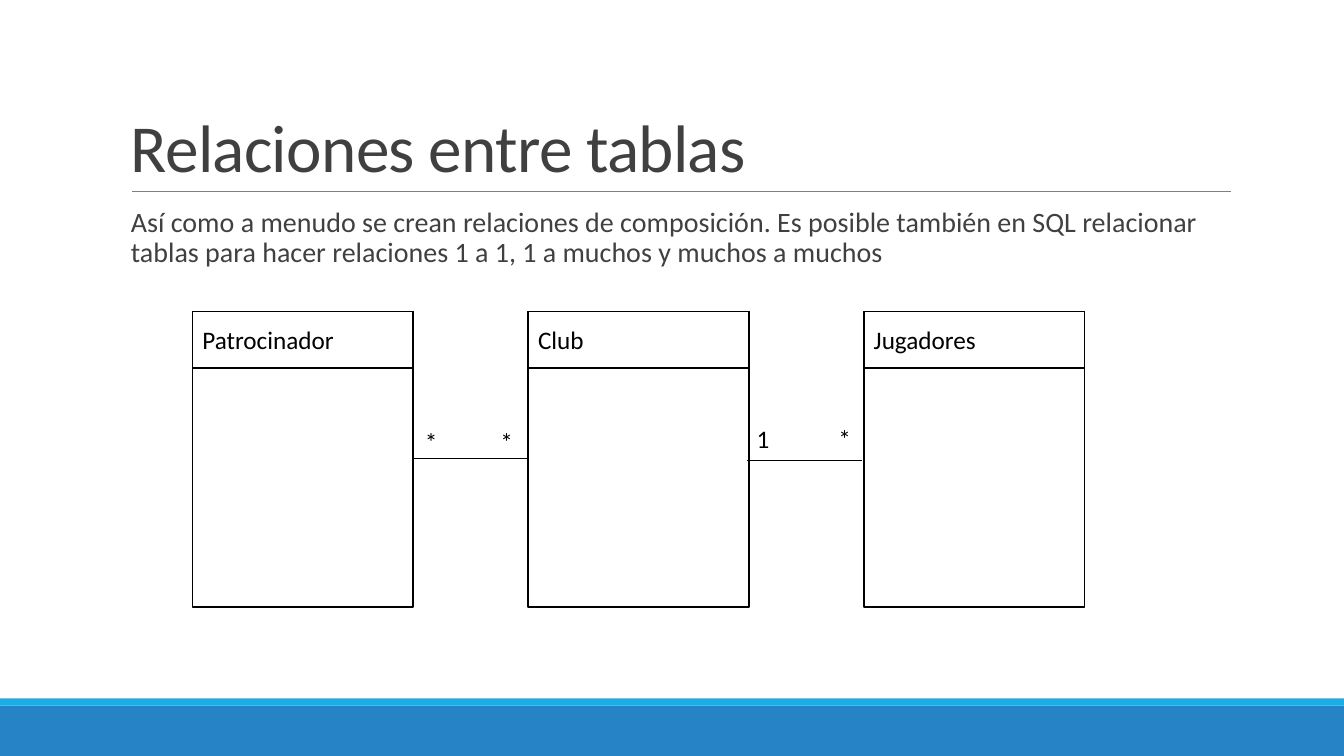
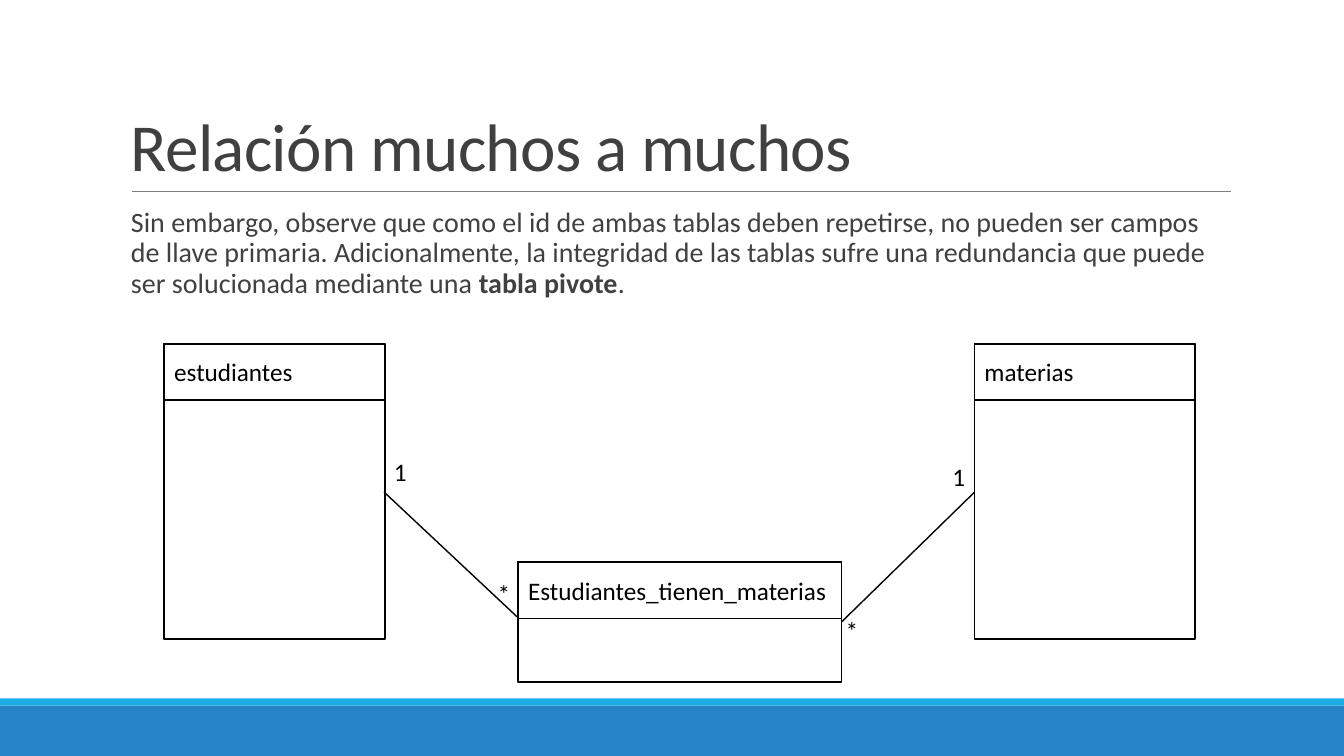
from lxml import etree
from pptx import Presentation
from pptx.dml.color import RGBColor
from pptx.enum.shapes import MSO_CONNECTOR, MSO_SHAPE
from pptx.enum.text import MSO_ANCHOR as ANCHOR, PP_ALIGN
from pptx.oxml.ns import qn
from pptx.util import Cm, Pt

COLORS = {
    "band": "2683C6",
    "accent": "1CADE4",
    "rule": "808080",
    "text": "404040",
    "black": "000000",
    "white": "FFFFFF",
}
COLORS = {name: RGBColor.from_string(value) for name, value in COLORS.items()}
FONT = "Calibri"
SLIDE_WIDTH = 33.87
BOX_WIDTH, BOX_HEIGHT, HEADER_HEIGHT = 5.56, 7.44, 1.42
CLUB_TOP, CLUB_LEFT, CLUB_STEP = 7.85, 4.85, 8.46
COURSE_TOP = 8.66
PIVOT_LEFT, PIVOT_TOP, PIVOT_WIDTH, PIVOT_HEIGHT = 13.06, 14.17, 8.15, 3.02

SLIDES = [
    {
        "title": "Relaciones entre tablas",
        "title_top": 0.79,
        "body": [
            ("Así como a menudo se crean relaciones de composición. Es posible "
             "también en SQL relacionar tablas para hacer relaciones 1 a 1, "
             "1 a muchos y muchos a muchos", False),
        ],
        "tables": [
            (name, CLUB_LEFT + column * CLUB_STEP, CLUB_TOP, BOX_WIDTH, BOX_HEIGHT)
            for column, name in enumerate(["Patrocinador", "Club", "Jugadores"])
        ],
        "links": [(10.4, 11.56, 13.31, 11.56), (18.82, 11.61, 21.72, 11.61)],
        "labels": [("*", 10.46, 10.62), ("*", 12.36, 10.62),
                   ("1", 18.82, 10.54), ("*", 20.88, 10.54)],
    },
    {
        "title": "Relación muchos a muchos",
        "title_top": 0.74,
        "body": [
            ("Sin embargo, observe que como el id de ambas tablas deben "
             "repetirse, no pueden ser campos de llave primaria. "
             "Adicionalmente, la integridad de las tablas sufre una redundancia "
             "que puede ser solucionada mediante una ", False),
            ("tabla pivote", True),
            (".", False),
        ],
        "tables": [
            ("estudiantes", 4.14, COURSE_TOP, BOX_WIDTH, BOX_HEIGHT),
            ("materias", 24.56, COURSE_TOP, BOX_WIDTH, BOX_HEIGHT),
            ("Estudiantes_tienen_materias",
             PIVOT_LEFT, PIVOT_TOP, PIVOT_WIDTH, PIVOT_HEIGHT),
        ],
        "links": [(9.68, 12.4, 13.06, 15.57), (21.21, 15.67, 24.56, 12.4)],
        "labels": [("1", 9.68, 11.38), ("*", 12.29, 14.45),
                   ("1", 23.75, 11.51), ("*", 21.06, 15.37)],
    },
]


def add_rectangle(slide, left, top, width, height, fill, line=None):
    shape = slide.shapes.add_shape(
        MSO_SHAPE.RECTANGLE, Cm(left), Cm(top), Cm(width), Cm(height))
    shape.shadow.inherit = False
    shape.fill.solid()
    shape.fill.fore_color.rgb = COLORS[fill]
    if line:
        shape.line.color.rgb = COLORS[line]
        shape.line.width = Pt(1.25)
    else:
        shape.line.fill.background()
    return shape


def write_text(shape, runs, size, color, anchor=ANCHOR.TOP):
    frame = shape.text_frame
    frame.word_wrap = True
    frame.vertical_anchor = anchor
    paragraph = frame.paragraphs[0]
    paragraph.alignment = PP_ALIGN.LEFT
    paragraph.font.name = FONT
    paragraph.font.size = Pt(size)
    paragraph.font.color.rgb = COLORS[color]
    for text, bold in runs:
        run = paragraph.add_run()
        run.text = text
        if bold:
            run.font.bold = True
    return paragraph


presentation = Presentation()
presentation.slide_width = Cm(SLIDE_WIDTH)
presentation.slide_height = Cm(19.05)

for content in SLIDES:
    slide = presentation.slides.add_slide(presentation.slide_layouts[6])
    add_rectangle(slide, 0, 17.78, SLIDE_WIDTH, 1.27, "band")
    add_rectangle(slide, 0, 17.6, SLIDE_WIDTH, 0.18, "accent")

    title = slide.shapes.add_textbox(
        Cm(3.05), Cm(content["title_top"]), Cm(27.94), Cm(4.04))
    paragraph = write_text(
        title, [(content["title"], False)], 48, "text", ANCHOR.BOTTOM)
    paragraph.line_spacing = 0.85
    paragraph.runs[0]._r.get_or_add_rPr().set("spc", "-50")

    body = slide.shapes.add_textbox(Cm(3.05), Cm(5.13), Cm(27.94), Cm(11.18))
    paragraph = write_text(body, content["body"], 20, "text")
    body.text_frame.margin_left = Cm(0.25)
    body.text_frame.margin_right = 0
    paragraph.line_spacing = 0.9
    paragraph.space_before = Pt(12)
    paragraph.space_after = Pt(2)

    for name, left, top, width, height in content["tables"]:
        add_rectangle(slide, left, top, width, height, "white", "black")
        header = add_rectangle(
            slide, left, top, width, HEADER_HEIGHT, "white", "black")
        write_text(header, [(name, False)], 18, "black", ANCHOR.MIDDLE)

    lines = [((3.33, 4.83, 31.01, 4.83), "rule", 0.5)]
    lines += [(ends, "black", 1) for ends in content["links"]]
    for ends, color, width in lines:
        connector = slide.shapes.add_connector(
            MSO_CONNECTOR.STRAIGHT, *[Cm(value) for value in ends])
        connector.line.color.rgb = COLORS[color]
        connector.line.width = Pt(width)
        etree.SubElement(connector._element.spPr, qn("a:effectLst"))

    for symbol, left, top in content["labels"]:
        label = slide.shapes.add_textbox(Cm(left), Cm(top), Cm(0.9), Cm(1.02))
        write_text(label, [(symbol, False)], 18, "black")

presentation.save("out.pptx")
